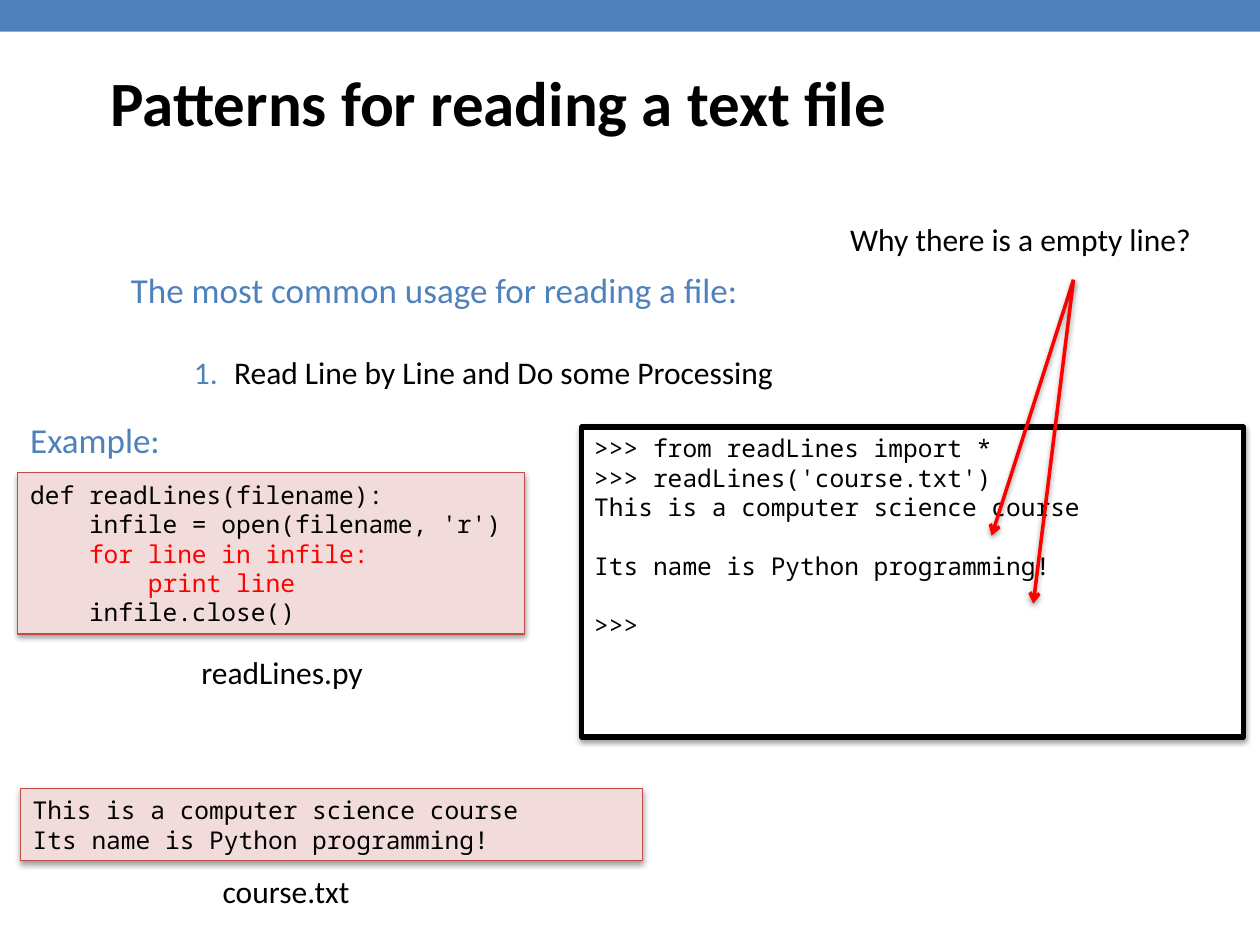
from lxml import etree
from pptx import Presentation
from pptx import util as u
from pptx.dml.color import RGBColor
from pptx.enum import shapes, text
from pptx.oxml import ns

BLUE, BLACK, RED, WHITE = "4F81BD", "000000", "FF0000", "FFFFFF"
PINK, BRICK = "F2DCDB", "BF4C48"
SANS, MONO = "Calibri", "Noto Sans Mono"


def rgb(value):
    return RGBColor.from_string(value)


def add_xml(parent, tag, **attrs):
    return etree.SubElement(parent, ns.qn(tag), attrs)


class SlideBuilder:
    def __init__(self, slide):
        self.s = slide

    def shadow(self, effects):
        outer = add_xml(effects, "a:outerShdw", blurRad="40000", dist="20000",
                        dir="5400000", rotWithShape="0")
        color = add_xml(outer, "a:srgbClr", val=BLACK)
        add_xml(color, "a:alpha", val="38000")

    def set_lines(self, sp, lines, size, font, color=BLACK, bold=False,
                  anchor=text.MSO_ANCHOR.MIDDLE, wrap=True, grow=True):
        tf = sp.text_frame
        tf.text = "\n".join(lines)
        tf.word_wrap = wrap
        tf.vertical_anchor = anchor
        fit = text.MSO_AUTO_SIZE
        tf.auto_size = fit.SHAPE_TO_FIT_TEXT if grow else fit.NONE
        for p in tf.paragraphs:
            p.alignment = text.PP_ALIGN.LEFT
            for r in p.runs:
                r.font.size, r.font.name, r.font.bold = u.Pt(size), font, bold
                r.font.color.rgb = rgb(color)
        return tf.paragraphs

    def label(self, box, lines, size, **style):
        sp = self.s.shapes.add_textbox(*map(u.Cm, box))
        return self.set_lines(sp, lines, size, SANS, **style)

    def rect(self, box, fill, line=None, width=0.75):
        sp = self.s.shapes.add_shape(shapes.MSO_SHAPE.RECTANGLE, *map(u.Cm, box))
        sp.fill.solid()
        sp.fill.fore_color.rgb = rgb(fill)
        sp.shadow.inherit = False
        if line:
            sp.line.color.rgb = rgb(line)
            sp.line.width = u.Pt(width)
            self.shadow(sp._element.spPr.find(ns.qn("a:effectLst")))
        else:
            sp.line.fill.background()
        return sp

    def code(self, box, lines, fill=PINK, line=BRICK, width=0.75, **style):
        sp = self.rect(box, fill, line, width)
        return self.set_lines(sp, lines, 14, MONO, **style)

    def arrow(self, start, end):
        c = self.s.shapes.add_connector(shapes.MSO_CONNECTOR.STRAIGHT,
                                        *map(u.Cm, start + end))
        c.line.color.rgb = rgb(RED)
        c.line.width = u.Pt(2)
        spPr = c._element.spPr
        add_xml(spPr.find(ns.qn("a:ln")), "a:tailEnd", type="arrow")
        self.shadow(add_xml(spPr, "a:effectLst"))

    def number(self, p, left, hanging, color):
        pPr = p._p.get_or_add_pPr()
        pPr.set("marL", str(u.Cm(left)))
        pPr.set("indent", str(-u.Cm(hanging)))
        add_xml(add_xml(pPr, "a:buClr"), "a:srgbClr", val=color)
        add_xml(pPr, "a:buFont", typeface="+mj-lt")
        add_xml(pPr, "a:buAutoNum", type="arabicPeriod")


def main():
    prs = Presentation()
    prs.slide_width, prs.slide_height = u.Cm(25.4), u.Cm(19.05)
    b = SlideBuilder(prs.slides.add_slide(prs.slide_layouts[6]))

    # Banner and title
    b.rect((0, 0, 25.4, 0.64), BLUE)
    b.label((1.98, 0, 21.59, 4.09), ["Patterns for reading a text file"], 36,
            bold=True, grow=False)

    # Introduction with numbered point
    _, point = b.label((2.39, 5.28, 13.54, 2.74),
                       ["The most common usage for reading a file:",
                        "Read Line by Line and Do some Processing"],
                       20, color=BLUE, wrap=False)
    point.level = 1
    point.space_before = u.Pt(24.4)
    b.number(point, 2.08, 0.81, BLUE)
    point.runs[0].font.size = u.Pt(18)
    point.runs[0].font.color.rgb = rgb(BLACK)

    # Example code, with the loop in red
    source = b.code((0.36, 9.53, 10.21, 3.25),
                    ["def readLines(filename):",
                     "    infile = open(filename, 'r')",
                     "    for line in infile:",
                     "        print line",
                     "    infile.close()"])
    for p in source[2:4]:
        p.runs[0].font.color.rgb = rgb(RED)
    b.label((0.36, 8.31, 3.18, 1.12), ["Example:"], 20, color=BLUE, wrap=False)

    # Input file
    course = "This is a computer science course"
    name = "Its name is Python programming!"
    b.code((0.41, 15.9, 12.55, 1.45), [course, name])

    # Console session, one line of space after each printed line
    console = b.code((11.73, 8.61, 13.34, 6.25),
                     [">>> from readLines import *",
                      ">>> readLines('course.txt')", course, name, ">>>"],
                     fill=WHITE, line=BLACK, width=3,
                     anchor=text.MSO_ANCHOR.TOP, grow=False)
    for p in console[2:4]:
        p.space_after = u.Pt(16.8)

    # Captions and question
    for left, top, width, caption in ((3.81, 13.03, 3.91, "readLines.py"),
                                      (4.24, 17.45, 3.91, "course.txt"),
                                      (16.89, 4.32, 7.75, "Why there is a empty line?")):
        b.label((left, top, width, 1.02), [caption], 18, anchor=text.MSO_ANCHOR.TOP)

    # Arrows to the empty lines
    for end in ((19.99, 10.8), (20.83, 12.17)):
        b.arrow((21.64, 5.64), end)

    prs.save("out.pptx")


if __name__ == "__main__":
    main()
